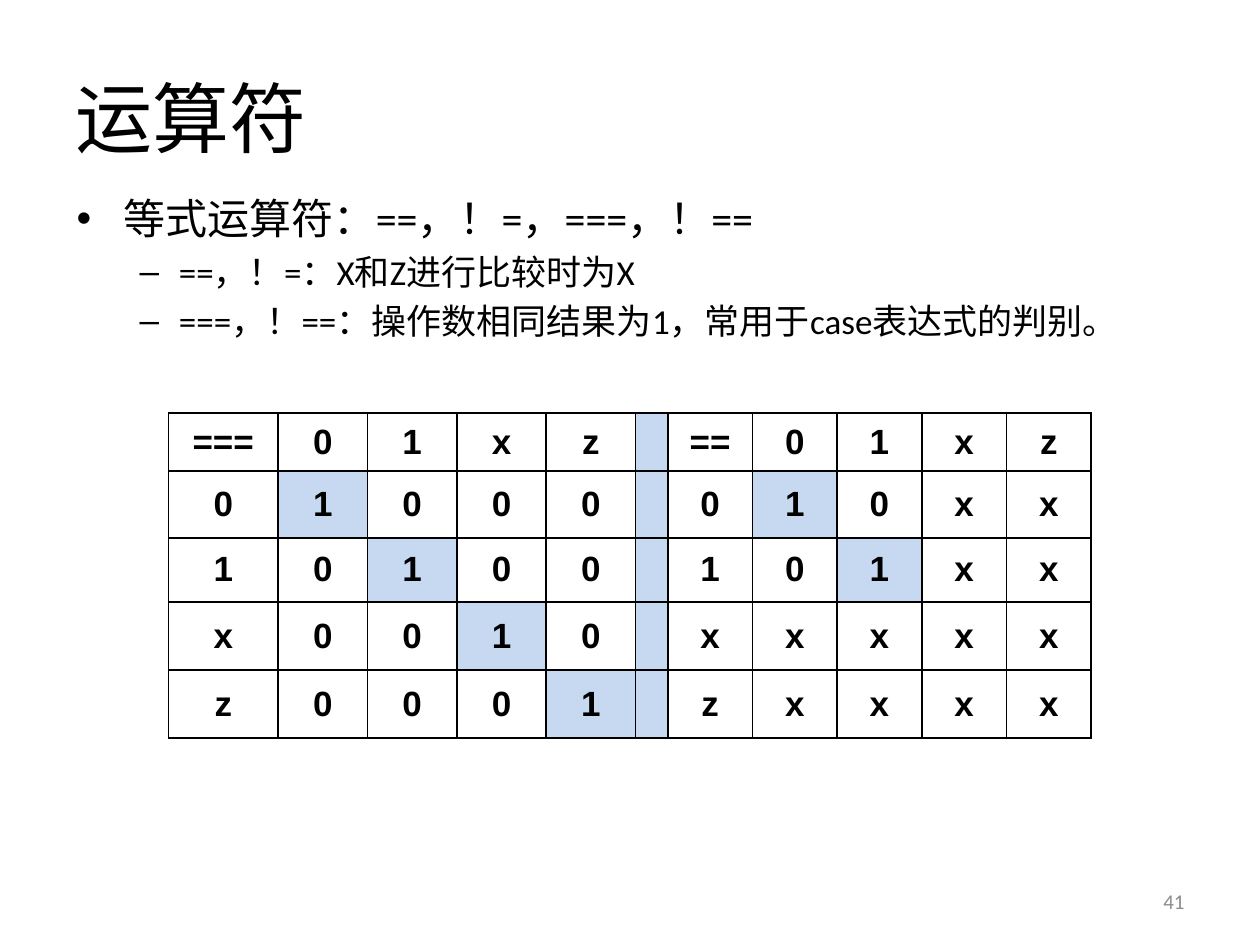
from lxml.etree import SubElement
from pptx import Presentation
from pptx.dml.color import RGBColor
from pptx.enum.text import MSO_ANCHOR as Anchor, PP_ALIGN as Align
from pptx.oxml.ns import qn
from pptx.util import Pt

BLACK, GREY, HIGHLIGHT = "000000", "8C8C8C", "C6D9F1"
COLUMN_WIDTHS = [62.6] + [51.1] * 4 + [18.4] + [48.4] * 5
ROW_HEIGHTS = [32, 38.3, 36.6, 38.9, 38.9]
STATES = "01xz"
GAP_COLUMN = 5


def color(hex_value):
    return RGBColor.from_string(hex_value)


def add_run(paragraph, text, size, font="Calibri", ink=BLACK, bold=False):
    run = paragraph.add_run()
    run.text = text
    run.font.size = Pt(size)
    run.font.name = font
    run.font.bold = bold
    run.font.color.rgb = color(ink)


def add_frame(slide, left, top, width, height, anchor=Anchor.MIDDLE):
    box = slide.shapes.add_textbox(Pt(left), Pt(top), Pt(width), Pt(height))
    frame = box.text_frame
    frame.word_wrap = True
    frame.vertical_anchor = anchor
    return frame


def add_label(slide, bounds, text, size, ink=BLACK, align=Align.LEFT):
    paragraph = add_frame(slide, *bounds).paragraphs[0]
    paragraph.alignment = align
    add_run(paragraph, text, size, ink=ink)


def set_bullet(paragraph, symbol, margin, hanging):
    properties = paragraph._p.get_or_add_pPr()
    properties.set("marL", str(Pt(margin)))
    properties.set("indent", str(-Pt(hanging)))
    SubElement(properties, qn("a:buFont"), typeface="Arial")
    SubElement(properties, qn("a:buChar"), char=symbol)


def add_outline(slide, items):
    frame = add_frame(slide, 36.7, 106.6, 671.8, 489.6, Anchor.TOP)
    styles = [("•", 27, 27, 24), ("–", 58.5, 22.5, 20)]
    for index, (level, text) in enumerate(items):
        paragraph = frame.add_paragraph() if index else frame.paragraphs[0]
        symbol, margin, hanging, size = styles[level]
        paragraph.level = level
        paragraph.space_before = Pt(size * 0.2)
        set_bullet(paragraph, symbol, margin, hanging)
        add_run(paragraph, text, size)


def set_borders(cell):
    properties = cell._tc.get_or_add_tcPr()
    for side in ("lnL", "lnR", "lnT", "lnB"):
        line = SubElement(properties, qn(f"a:{side}"), w=str(Pt(1)))
        fill = SubElement(line, qn("a:solidFill"))
        SubElement(fill, qn("a:srgbClr"), val=BLACK)


def style_cell(cell, text, highlighted):
    cell.vertical_anchor = Anchor.MIDDLE
    cell.margin_left = cell.margin_right = Pt(7.2)
    cell.margin_top = cell.margin_bottom = Pt(4.5)
    set_borders(cell)
    if highlighted:
        cell.fill.solid()
        cell.fill.fore_color.rgb = color(HIGHLIGHT)
    else:
        cell.fill.background()
    if text:
        paragraph = cell.text_frame.paragraphs[0]
        paragraph.alignment = Align.CENTER
        add_run(paragraph, text, 20, "Arial", bold=True)


def case_equal(left, right):
    return "1" if left == right else "0"


def logic_equal(left, right):
    return "x" if set(left + right) & set("xz") else case_equal(left, right)


def truth_rows(operator, compare):
    header = [operator, *STATES]
    return [header] + [[a] + [compare(a, b) for b in STATES] for a in STATES]


def add_truth_table(slide):
    table = slide.shapes.add_table(
        len(ROW_HEIGHTS), len(COLUMN_WIDTHS), Pt(96.3), Pt(236),
        Pt(sum(COLUMN_WIDTHS)), Pt(sum(ROW_HEIGHTS))).table
    table.first_row = table.horz_banding = False
    for column, width in zip(table.columns, COLUMN_WIDTHS):
        column.width = Pt(width)
    for row, height in zip(table.rows, ROW_HEIGHTS):
        row.height = Pt(height)
    halves = zip(truth_rows("===", case_equal), truth_rows("==", logic_equal))
    for r, (strict, loose) in enumerate(halves):
        for c, text in enumerate(strict + [""] + loose):
            is_match = r > 0 and c % (GAP_COLUMN + 1) > 0 and text == "1"
            style_cell(table.cell(r, c), text, c == GAP_COLUMN or is_match)


def main():
    deck = Presentation()
    deck.slide_width, deck.slide_height = Pt(720), Pt(540)
    slide = deck.slides.add_slide(deck.slide_layouts[6])
    add_outline(slide, [
        (0, "等式运算符：==，！=，===，！=="),
        (1, "==，！=：X和Z进行比较时为X"),
        (1, "===，！==：操作数相同结果为1，常用于case表达式的判别。"),
    ])
    add_label(slide, (36, 21.6, 648, 90), "运算符", 44)
    add_truth_table(slide)
    add_label(slide, (516, 500.5, 168, 28.8), "41", 12, GREY, Align.RIGHT)
    deck.save("out.pptx")


main()
